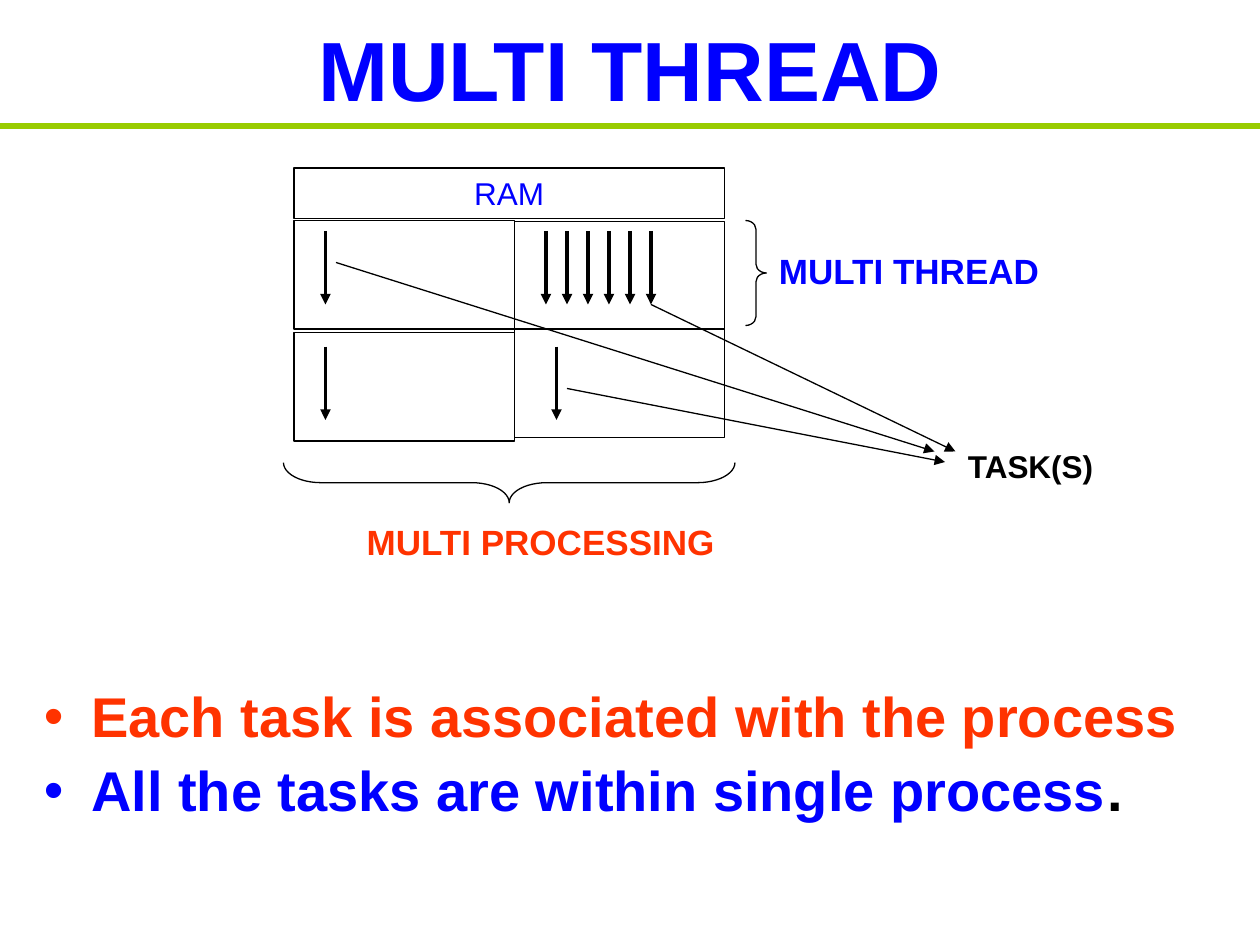
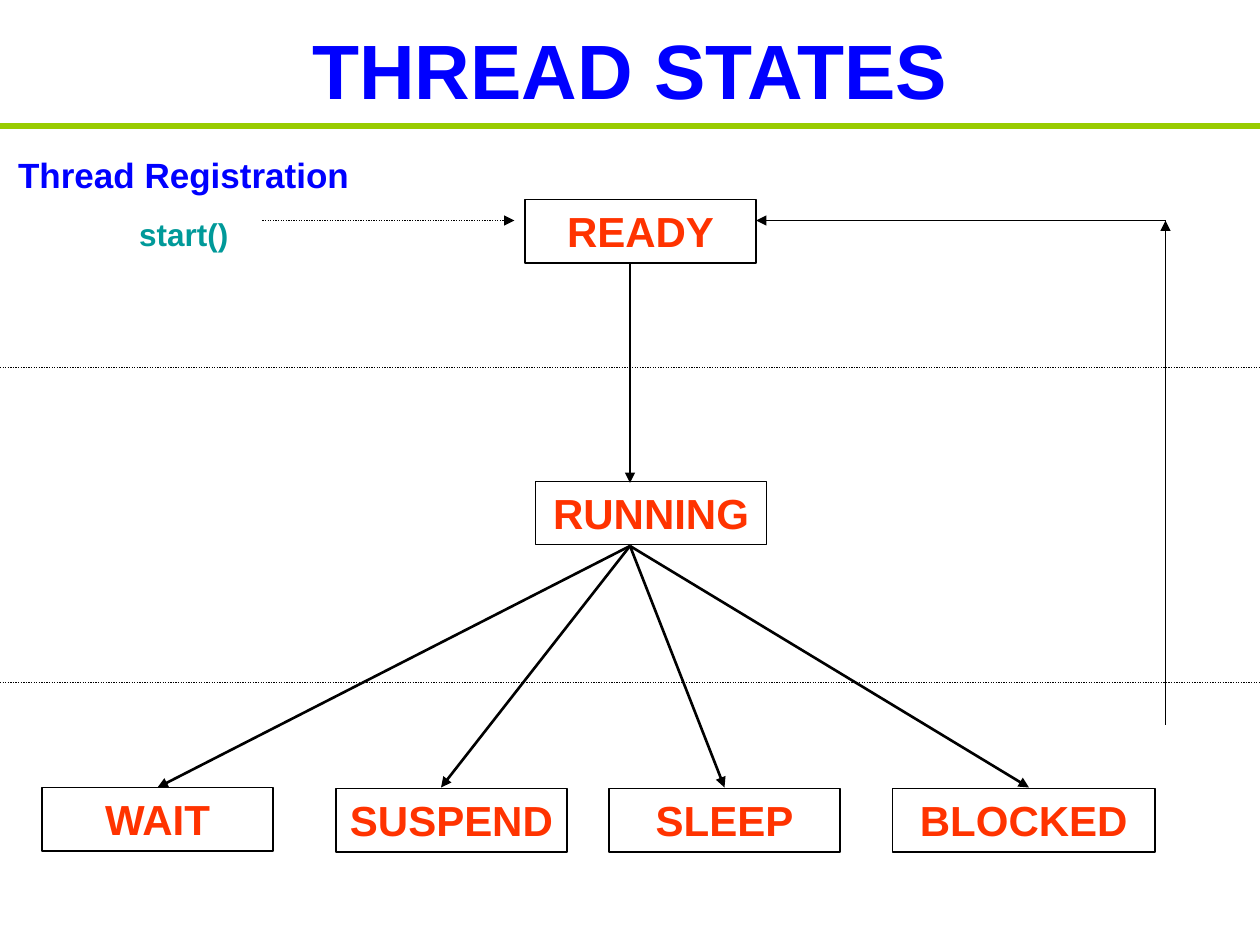
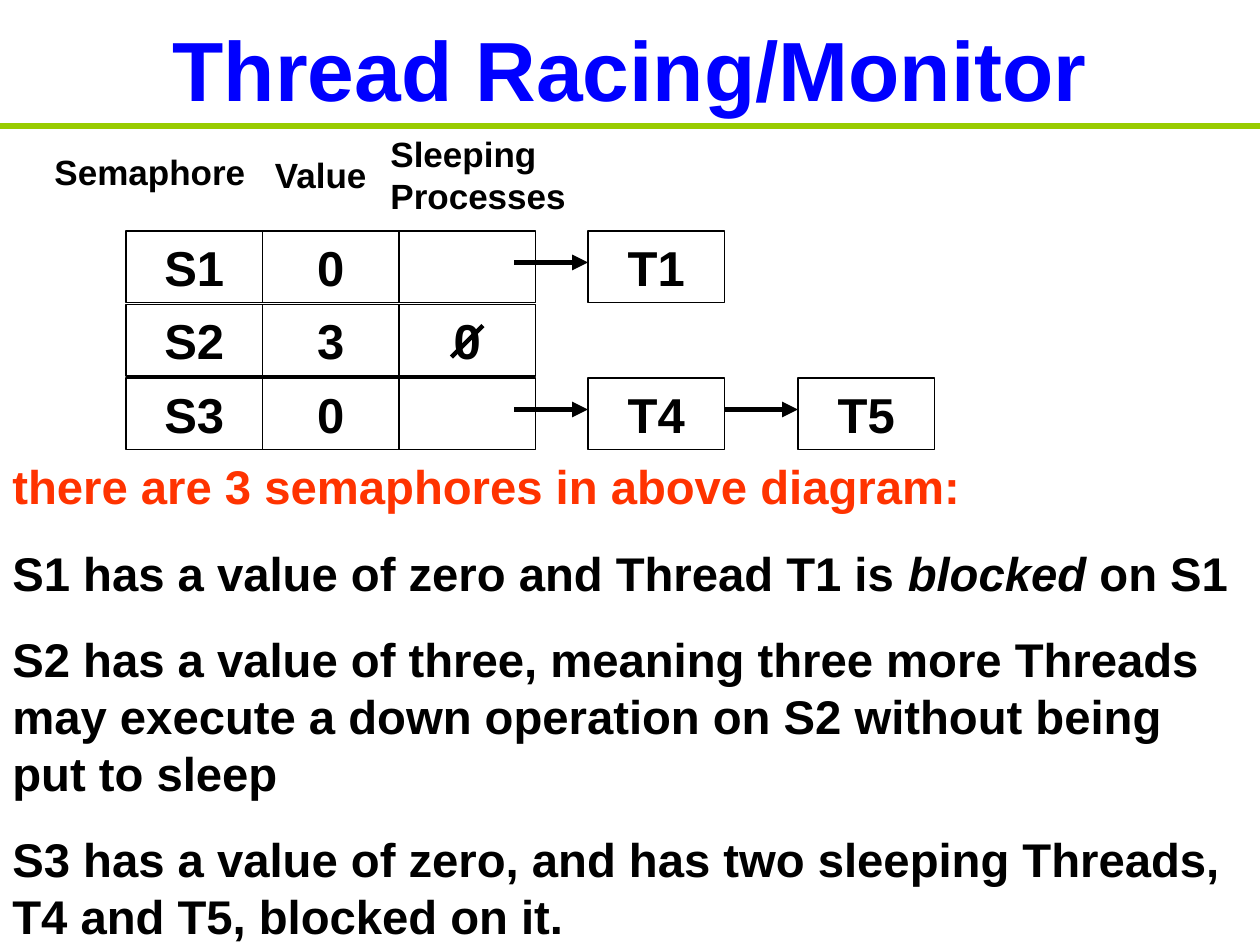
from pptx import Presentation
from pptx import util as u
from pptx.dml.color import RGBColor
from pptx.enum import dml, shapes, text
from pptx.oxml.ns import qn
from lxml import etree

Pt = u.Pt
FONT = "Arial"
BLUE = RGBColor(0x00, 0x00, 0xFF)
RED = RGBColor(0xFF, 0x33, 0x00)
TEAL = RGBColor(0x00, 0x99, 0x99)
GREEN = RGBColor(0x99, 0xCC, 0x00)
BLACK = RGBColor(0x00, 0x00, 0x00)
THIN = 0.74
TITLE_ONLY = 5
CENTER = text.PP_ALIGN.CENTER
LEFT = text.PP_ALIGN.LEFT


def write(frame, paragraphs, size=18, color=BLACK, bold=True, align=LEFT,
          before=0, spacing=None, anchor=text.MSO_ANCHOR.TOP):
    """Fill a text frame; a paragraph is a list of (words, overrides) runs."""
    frame.word_wrap = True
    frame.vertical_anchor = anchor
    if isinstance(paragraphs, str):
        paragraphs = [[(paragraphs, {})]]
    for index, runs in enumerate(paragraphs):
        paragraph = frame.add_paragraph() if index else frame.paragraphs[0]
        paragraph.alignment = align
        paragraph.space_before = Pt(before)
        if spacing:
            paragraph.line_spacing = spacing
        for words, override in runs:
            run = paragraph.add_run()
            run.text = words
            run.font.name = FONT
            run.font.size = Pt(override.get("size", size))
            run.font.bold = bold
            run.font.color.rgb = override.get("color", color)
            if override.get("italic"):
                run.font.italic = True


def add_bullet(paragraph, indent):
    """Give a paragraph a hanging bullet in the colour of its first run."""
    props = paragraph._p.get_or_add_pPr()
    props.set("marL", str(Pt(indent)))
    props.set("indent", str(-Pt(indent)))
    color = etree.SubElement(props, qn("a:buClr"))
    etree.SubElement(color, qn("a:srgbClr"),
                     val=str(paragraph.runs[0].font.color.rgb))
    etree.SubElement(props, qn("a:buFont"), typeface=FONT)
    etree.SubElement(props, qn("a:buChar"), char="\u2022")


class Deck:
    """Holds the shared style and the slide being drawn."""

    def __init__(self):
        """Open an empty 10 by 7.5 inch presentation."""
        self.show = Presentation()
        self.show.slide_width, self.show.slide_height = Pt(720), Pt(540)
        self.slide = None

    def start(self, title, size=48):
        """Begin a slide with its title and the green rule below it."""
        self.slide = self.show.slides.add_slide(
            self.show.slide_layouts[TITLE_ONLY])
        heading = self.slide.shapes.title
        heading.left, heading.top = Pt(36), Pt(0)
        heading.width, heading.height = Pt(648), Pt(78)
        write(heading.text_frame, title, size=size, color=BLUE,
              align=CENTER, anchor=text.MSO_ANCHOR.MIDDLE)
        self.line((0, 72), (720, 72), width=3, color=GREEN)

    def line(self, start, end, width=THIN, color=BLACK, arrow=False,
             dotted=False):
        """Draw a straight line, with an arrowhead at its end if asked."""
        line = self.slide.shapes.add_connector(
            shapes.MSO_CONNECTOR.STRAIGHT, *map(Pt, start + end))
        line.line.color.rgb = color
        line.line.width = Pt(width)
        if dotted:
            line.line.dash_style = dml.MSO_LINE.ROUND_DOT
        props = line.element.spPr
        if arrow:
            etree.SubElement(props.find(qn("a:ln")), qn("a:tailEnd"),
                             type="triangle")
        etree.SubElement(props, qn("a:effectLst"))

    def outline(self, kind, left, top, width, height):
        """Draw an unfilled preset shape with a thin black line."""
        shape = self.slide.shapes.add_shape(
            kind, *map(Pt, (left, top, width, height)))
        shape.shadow.inherit = False
        shape.fill.background()
        shape.line.color.rgb = BLACK
        shape.line.width = Pt(THIN)
        return shape

    def box(self, left, top, width, height, words="", **style):
        """Draw a rectangle with optional centred words."""
        box = self.outline(shapes.MSO_SHAPE.RECTANGLE, left, top, width, height)
        if words:
            write(box.text_frame, words, align=CENTER, **style)

    def brace(self, kind, left, top, width, height, bend, turn=0):
        """Draw a curly brace."""
        brace = self.outline(kind, left, top, width, height)
        brace.adjustments[0] = bend
        brace.rotation = turn

    def label(self, left, top, width, height, words, **style):
        """Place a text box and return its frame."""
        frame = self.slide.shapes.add_textbox(
            *map(Pt, (left, top, width, height))).text_frame
        write(frame, words, **style)
        return frame


def draw_multi_thread(deck):
    """Memory with four processes, one of them running many threads."""
    deck.start("MULTI THREAD")
    bullets = deck.label(18, 390, 702, 90, [
        [("Each task is associated with the process", {"color": RED})],
        [("All the tasks are within single process", {"color": BLUE}),
         (".", {})]], size=32, before=8, spacing=0.9)
    for paragraph in bullets.paragraphs:
        add_bullet(paragraph, 27)

    deck.box(168, 96, 246, 28.8, "RAM", size=18, color=BLUE, bold=False)
    for left, top, width in ((168, 126, 126), (294, 126.5, 120),
                             (168, 190, 126), (294, 188, 120)):
        deck.box(left, top, width, 62)
    many_threads = [(312 + 12 * n, 132) for n in range(6)]
    for x, y in [(186, 132), (186, 198), (318, 198)] + many_threads:
        deck.line((x, y), (x, y + 42), width=2, arrow=True)

    deck.brace(shapes.MSO_SHAPE.RIGHT_BRACE, 426, 126, 12, 60, 0.42)
    deck.label(438, 139, 216, 31.7, "MULTI THREAD", size=20, color=BLUE)
    deck.brace(shapes.MSO_SHAPE.LEFT_BRACE, 279.5, 146.8, 23, 258, 0.93, 270)
    deck.label(162, 294, 294, 31.7, "MULTI PROCESSING", size=20, color=RED,
               align=CENTER)
    for thread, task in (((372, 174), (546, 258)), ((324, 222), (540, 264)),
                         ((192, 150), (534, 258))):
        deck.line(thread, task, arrow=True)
    deck.label(546, 252, 132, 28.8, "TASK(S)")


def draw_thread_states(deck):
    """State diagram from registration to the four waiting states."""
    deck.start("THREAD STATES", size=44)
    for y in (210, 390):
        deck.line((0, y), (720, y), dotted=True)
    for state, left, top, width in (
            ("RUNNING", 306, 275, 132), ("WAIT", 24, 450, 132),
            ("SUSPEND", 192, 450.5, 132), ("SLEEP", 348, 450.5, 132),
            ("BLOCKED", 510, 450.5, 150), ("READY", 300, 114, 132)):
        deck.box(left, top, width, 36.3, state, size=24, color=RED)

    deck.line((360, 150), (360, 276), width=1.5, arrow=True)
    for x in (414, 252, 588, 90):
        deck.line((360, 312), (x, 450), width=1.5, arrow=True)
    deck.line((666, 414), (666, 126), arrow=True)
    deck.line((666, 126), (432, 126), arrow=True)
    deck.label(0, 84, 210, 64, [
        [("Thread Registration", {"size": 20, "color": BLUE})],
        [("start()", {"color": TEAL})]], align=CENTER, before=11.2)
    deck.line((150, 126), (294, 126), arrow=True, dotted=True)


def draw_monitor(deck):
    """Semaphore grid with its sleeping threads and an explanation."""
    deck.start("Thread Racing/Monitor")
    column, row, width, height = 78, 42, 78, 41
    grid = (("S1", "0", ""), ("S2", "3", "0"), ("S3", "0", ""))
    for r, cells in enumerate(grid):
        for c, words in enumerate(cells):
            deck.box(72 + c * column, 132 + r * row, width, height, words,
                     size=28)
    deck.line((276, 186), (258, 204), width=2.5)
    for thread, left, r in (("T1", 336, 0), ("T4", 336, 2), ("T5", 456, 2)):
        top = 132 + r * row
        deck.line((left - 42, top + 18), (left, top + 18), width=3, arrow=True)
        deck.box(left, top, width, height, thread, size=28)

    for heading, left, top, wide, high in (
            ("Semaphore", 24, 82.5, 126, 31.7), ("Value", 150, 84, 72, 31.7),
            ("Sleeping Processes", 216, 72, 126, 55.5)):
        deck.label(left, top, wide, high, heading, size=20)
    deck.label(0, 258, 720, 285, [
        [("there are 3 semaphores in above diagram:", {"color": RED})],
        [("S1 has a value of zero and Thread T1 is ", {}),
         ("blocked", {"italic": True}), (" on S1", {})],
        [("S2 has a value of three, meaning three more Threads may execute "
          "a down operation on S2 without being put to sleep", {})],
        [("S3 has a value of zero, and has two sleeping Threads, T4 and T5, "
          "blocked on it.", {})]], size=27, before=16.9)


deck = Deck()
draw_multi_thread(deck)
draw_thread_states(deck)
draw_monitor(deck)
deck.show.save("out.pptx")
